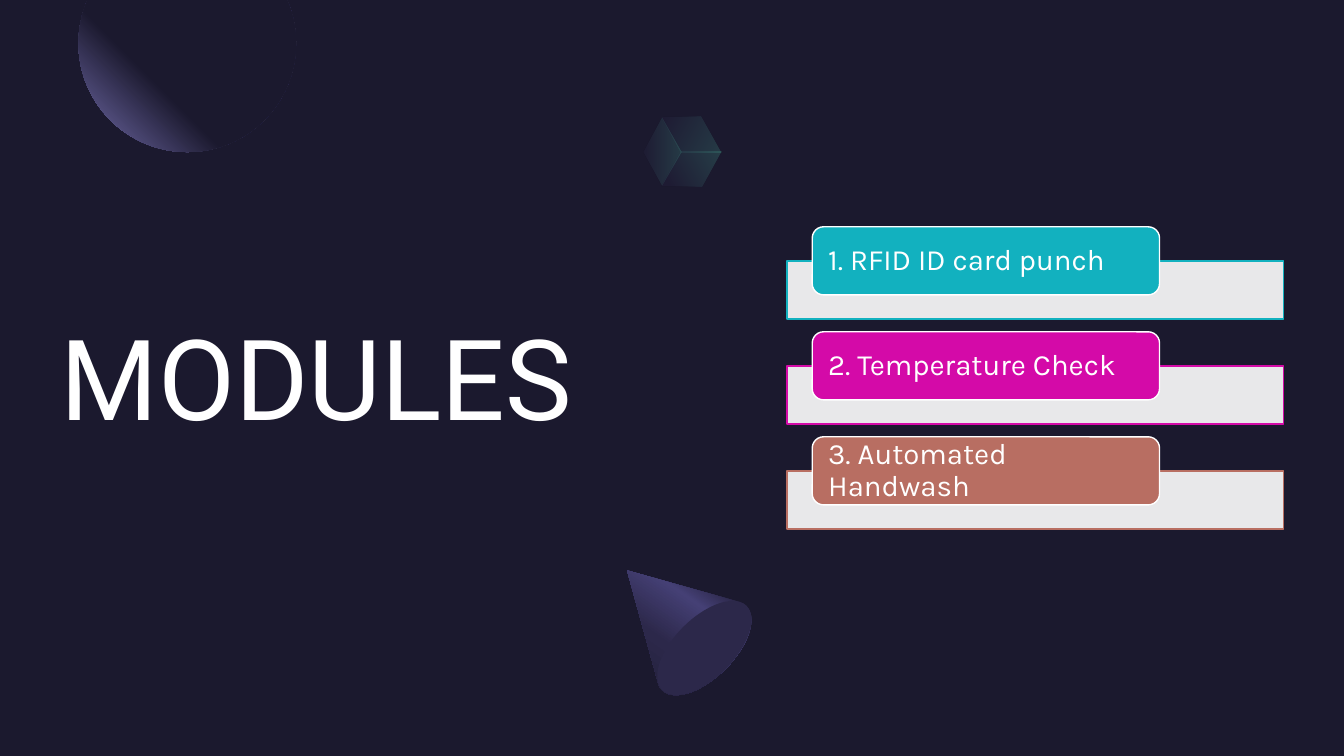
import math

from pptx import Presentation
from pptx import util as u
from pptx.dml.color import RGBColor
from pptx.enum import shapes, text
from pptx.oxml import ns
from lxml import etree

NIGHT = RGBColor(0x1B, 0x19, 0x2E)
DUSK = RGBColor(0x2C, 0x28, 0x4A)
VIOLET = RGBColor(0x45, 0x40, 0x75)
LAVENDER = RGBColor(0x77, 0x71, 0xB2)
MINT = RGBColor(0x5B, 0xEF, 0xC1)
WHITE = RGBColor(0xFF, 0xFF, 0xFF)
TEAL = RGBColor(0x12, 0xB1, 0xBF)
MAGENTA = RGBColor(0xD4, 0x0A, 0xA8)
CLAY = RGBColor(0xB8, 0x6E, 0x62)

# Square grid: 160 columns by 90 rows
COLUMNS, ROWS = 160, 90
CELL = u.Inches(7.5) / ROWS


def cells(count):
    return u.Emu(round(count * CELL))


def add_xml(parent, tag, **attributes):
    return etree.SubElement(parent, ns.qn(tag), attributes)


def turn(point, degrees):
    """Turn a point clockwise about the top left corner of the slide."""
    cos, sin = math.cos(math.radians(degrees)), math.sin(math.radians(degrees))
    return point[0] * cos - point[1] * sin, point[0] * sin + point[1] * cos


def lines(*points):
    return [(point,) for point in points]


def arc(center, radii, angles, tilt=0):
    """Start point, then one Bezier curve between each two clockwise angles."""
    def place(x, y):
        along, across = turn((x * radii[0], y * radii[1]), tilt)
        return center[0] + along, center[1] + across

    turns = [math.radians(angle) for angle in angles]
    parts = lines(place(math.cos(turns[0]), math.sin(turns[0])))
    for start, stop in zip(turns, turns[1:]):
        pull = 4 / 3 * math.tan((stop - start) / 4)
        cos_a, sin_a, cos_b, sin_b = math.cos(start), math.sin(start), math.cos(stop), math.sin(stop)
        parts.append((place(cos_a - pull * sin_a, sin_a + pull * cos_a),
                      place(cos_b + pull * sin_b, sin_b - pull * cos_b),
                      place(cos_b, sin_b)))
    return parts


def write(box, words, font, size, margin=0, line_spacing=1.0):
    frame = box.text_frame
    frame.word_wrap = True
    frame.vertical_anchor = text.MSO_ANCHOR.MIDDLE
    frame.margin_left = frame.margin_right = cells(margin)
    frame.margin_top = frame.margin_bottom = 0
    para = frame.paragraphs[0]
    para.alignment = text.PP_ALIGN.LEFT
    para.line_spacing = line_spacing
    span = para.add_run()
    span.text = words
    span.font.name, span.font.size = font, u.Pt(size)
    span.font.color.rgb = WHITE


class Page:
    title_font, body_font = "Roboto", "Karla"

    def __init__(self, deck):
        self.slide = deck.slides.add_slide(deck.slide_layouts[6])
        self.slide.background.fill.solid()
        self.slide.background.fill.fore_color.rgb = NIGHT

    def label(self, words, left, top, width, height, size):
        box = self.slide.shapes.add_textbox(*map(cells, (left, top, width, height)))
        write(box, words, self.title_font, size)

    def shape(self, kind, left, top, width, height, fill, line=None, opacity=100, rotation=0):
        shape = self.slide.shapes.add_shape(kind, *map(cells, (left, top, width, height)))
        shape.shadow.inherit = False
        shape.rotation = rotation
        shape.fill.solid()
        shape.fill.fore_color.rgb = fill
        if opacity < 100:
            color = shape._element.spPr.find(ns.qn("a:solidFill"))[0]
            add_xml(color, "a:alpha", val=str(opacity * 1000))
        if line is None:
            shape.line.fill.background()
        else:
            shape.line.color.rgb = line
            shape.line.width = u.Pt(1)
        return shape

    def outline(self, parts, stops, angle=None, opacity=100, rotation=0):
        """Closed outline of lines and curves; the gradient turns with the shape."""
        corners = [tuple(map(cells, turn(point, -rotation))) for part in parts for point in part]
        builder = self.slide.shapes.build_freeform(*corners[0], scale=1.0)
        builder.add_line_segments(corners[1:], close=True)
        shape = builder.convert_to_shape()
        middle = turn((shape.left + shape.width / 2, shape.top + shape.height / 2), rotation)
        shape.left = u.Emu(round(middle[0] - shape.width / 2))
        shape.top = u.Emu(round(middle[1] - shape.height / 2))
        shape.rotation = rotation
        shape.shadow.inherit = False
        shape.line.fill.background()
        self.bend(shape, parts)
        self.blend(shape, stops, angle, opacity)

    def bend(self, shape, parts):
        """Join each three segments that belong to a curve."""
        segments = iter(list(shape._element.spPr.iter(ns.qn("a:lnTo"))))
        for part in parts[1:]:
            group = [next(segments) for _ in part]
            if len(group) == 3:
                curve = etree.Element(ns.qn("a:cubicBezTo"))
                group[0].addprevious(curve)
                for segment in group:
                    curve.append(segment[0])
                    segment.getparent().remove(segment)

    def blend(self, shape, stops, angle, opacity):
        """Linear gradient, or a radial one from the top right without an angle."""
        shape.fill.gradient()
        gradient = shape._element.spPr.find(ns.qn("a:gradFill"))
        for child in list(gradient):
            gradient.remove(child)
        stop_list = add_xml(gradient, "a:gsLst")
        for position, color in stops:
            stop = add_xml(stop_list, "a:gs", pos=str(position * 1000))
            tint = add_xml(stop, "a:srgbClr", val=str(color))
            if opacity < 100:
                add_xml(tint, "a:alpha", val=str(opacity * 1000))
        if angle is None:
            radial = add_xml(gradient, "a:path", path="circle")
            add_xml(radial, "a:fillToRect", l="100000", b="100000")
        else:
            add_xml(gradient, "a:lin", ang=str(angle * 60000), scaled="0")

    def module(self, words, top, color):
        self.shape(shapes.MSO_SHAPE.RECTANGLE, 93.7, top + 4.05, 59.1, 6.95, WHITE, color, opacity=90)
        plate = self.shape(shapes.MSO_SHAPE.ROUNDED_RECTANGLE, 96.7, top, 41.35, 8.1, color, WHITE)
        write(plate, words, self.body_font, 21, margin=1.5, line_spacing=0.9)


deck = Presentation()
deck.slide_width, deck.slide_height = cells(COLUMNS), cells(ROWS)
page = Page(deck)

# Backdrop and title
page.shape(shapes.MSO_SHAPE.RECTANGLE, 0, 0, COLUMNS, ROWS, NIGHT)
page.label("MODULES", 7.2, 19.9, 71.4, 49.6, 80)

# Sphere cut by the top edge
radius, depth = 12.95, 5.15
cut = math.degrees(math.asin(depth / radius))
page.outline(arc((22.3, depth), (radius, radius), (-cut, 0, 90, 180, 180 + cut)),
             [(60, NIGHT), (100, LAVENDER)])

# Cube: three faces that meet in the middle
middle, right, left = (81.1, 18.1), (85.9, 18.1), (76.6, 18.1)
top_left, top_right = (78.8, 14), (83.5, 13.9)
bottom_left, bottom_right = (78.8, 22.1), (83.6, 22.2)
for face, angle in (((top_right, top_left, middle, right), 0),
                    ((bottom_left, left, top_left, middle), 330),
                    ((right, bottom_right, bottom_left, middle), 300)):
    page.outline(lines(*face), [(20, DUSK), (100, MINT)], angle, opacity=20, rotation=30)

# Cone: body and base
base, long, short = (83.85, 77.15), 7.1, 3.55
page.outline(lines((74.65, 67.9)) + arc(base, (long, short), (-13, 0, 90, 180, 193), tilt=-45),
             [(30, DUSK), (40, VIOLET), (60, DUSK), (100, NIGHT)], 170, rotation=315)
page.shape(shapes.MSO_SHAPE.OVAL, base[0] - short, base[1] - long, 2 * short, 2 * long,
           DUSK, rotation=45)

# Modules
modules = (("1. RFID ID card punch", TEAL),
           ("2. Temperature Check", MAGENTA),
           ("3. Automated Handwash", CLAY))
for index, (words, color) in enumerate(modules):
    page.module(words, 27 + 12.5 * index, color)

deck.save("out.pptx")
